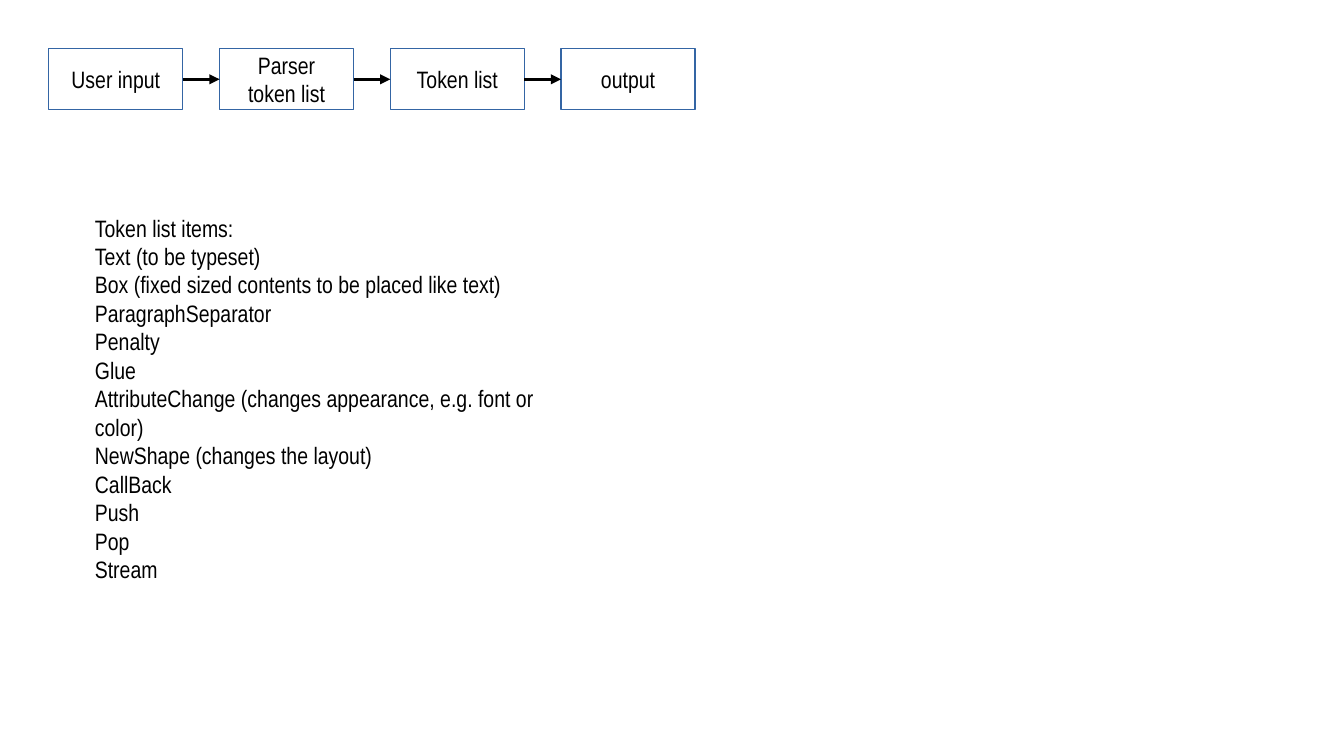
import pptx
import pptx.dml.color
import pptx.enum.shapes
import pptx.enum.text
import pptx.oxml
import pptx.oxml.ns
import pptx.util

COLORS = {"text": "000000", "fill": "FFFFFF", "edge": "3465A4", "arrow": "000000"}
STEPS = ["User input", "Parser\ntoken list", "Token list", "output"]
ITEMS = [
    "Token list items:",
    "Text (to be typeset)",
    "Box (fixed sized contents to be placed like text)",
    "ParagraphSeparator",
    "Penalty",
    "Glue",
    "AttributeChange (changes appearance, e.g. font or color)",
    "NewShape (changes the layout)",
    "CallBack",
    "Push",
    "Pop",
    "Stream",
]


class Deck:
    font = "Arial Narrow"
    size = 14
    cell = 0.1

    def __init__(self, width, height):
        self.show = pptx.Presentation()
        self.show.slide_width = pptx.util.Inches(width)
        self.show.slide_height = pptx.util.Inches(height)
        self.slide = self.show.slides.add_slide(self.show.slide_layouts[6])

    def grid(self, *counts):
        return [pptx.util.Inches(count * self.cell) for count in counts]

    def color(self, name):
        return pptx.dml.color.RGBColor.from_string(COLORS[name])

    def label(self, shape, text, align, anchor):
        frame = shape.text_frame
        frame.text = text
        frame.word_wrap = False
        frame.vertical_anchor = anchor
        for para in frame.paragraphs:
            para.alignment = align
            for run in para.runs:
                run.font.name = self.font
                run.font.size = pptx.util.Pt(self.size)
                run.font.color.rgb = self.color("text")

    def box(self, col, row, cols, rows, text):
        shape = self.slide.shapes.add_shape(
            pptx.enum.shapes.MSO_SHAPE.RECTANGLE, *self.grid(col, row, cols, rows))
        shape.shadow.inherit = False
        shape.fill.solid()
        shape.fill.fore_color.rgb = self.color("fill")
        shape.line.color.rgb = self.color("edge")
        shape.line.width = pptx.util.Pt(0)
        self.label(shape, text, pptx.enum.text.PP_ALIGN.CENTER,
                   pptx.enum.text.MSO_ANCHOR.MIDDLE)
        return shape

    def arrow(self, start, end):
        link = self.slide.shapes.add_connector(
            pptx.enum.shapes.MSO_CONNECTOR.STRAIGHT, 0, 0, 0, 0)
        link.begin_connect(start, 3)
        link.end_connect(end, 1)
        link.line.color.rgb = self.color("arrow")
        link.line.width = pptx.util.Pt(0)
        props = link.element.spPr
        space = pptx.oxml.ns.nsdecls("a")
        props.find(pptx.oxml.ns.qn("a:ln")).append(
            pptx.oxml.parse_xml(f'<a:tailEnd {space} type="triangle"/>'))
        props.append(pptx.oxml.parse_xml(f"<a:effectLst {space}/>"))

    def note(self, col, row, cols, rows, lines):
        shape = self.slide.shapes.add_textbox(*self.grid(col, row, cols, rows))
        self.label(shape, "\n".join(lines), pptx.enum.text.PP_ALIGN.LEFT,
                   pptx.enum.text.MSO_ANCHOR.TOP)
        shape.text_frame.auto_size = pptx.enum.text.MSO_AUTO_SIZE.SHAPE_TO_FIT_TEXT


def main():
    deck = Deck(11.02, 6.2)
    steps = [deck.box(4 + 14 * index, 4, 11, 5, text)
             for index, text in enumerate(STEPS)]
    for start, end in zip(steps, steps[1:]):
        deck.arrow(start, end)
    deck.note(6.8, 17, 42.4, 24.8, ITEMS)
    deck.show.save("out.pptx")


if __name__ == "__main__":
    main()
